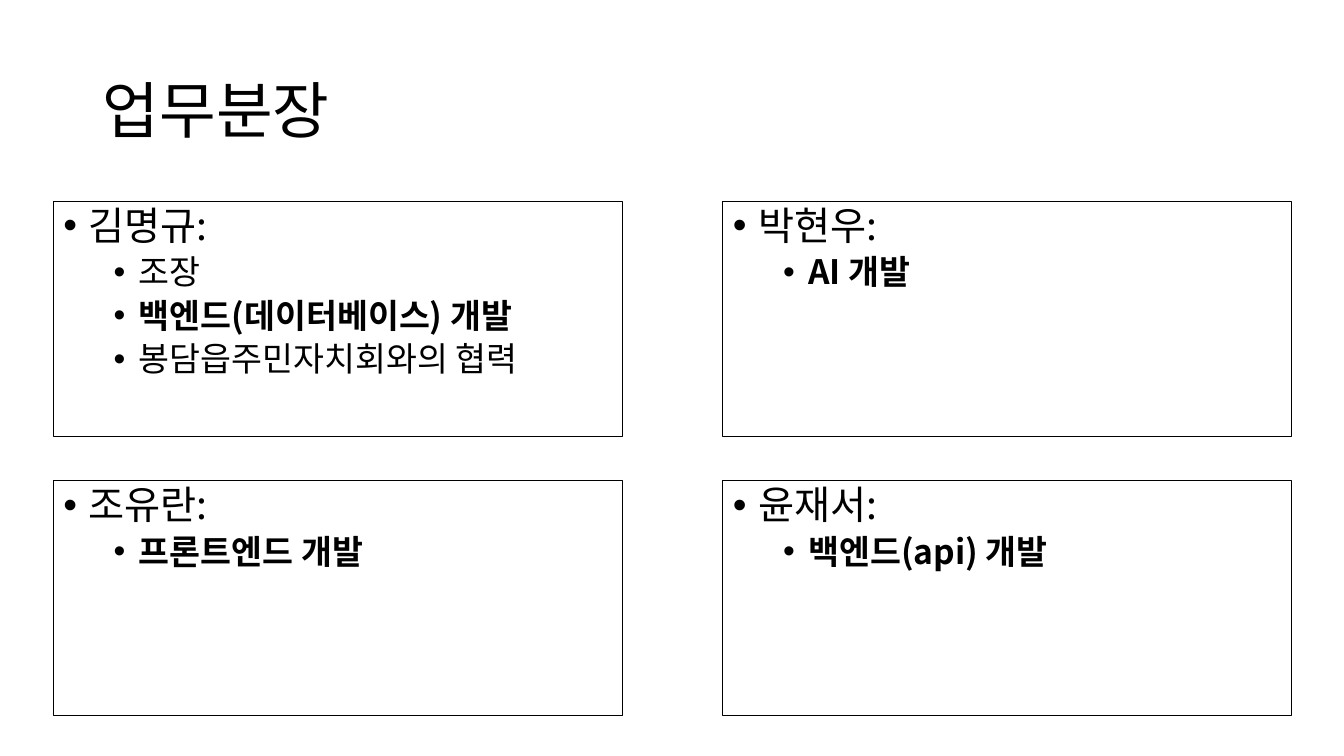
from lxml import etree
from pptx import Presentation
from pptx.dml.color import RGBColor
from pptx.enum.shapes import MSO_SHAPE
from pptx.enum.text import MSO_ANCHOR, PP_ALIGN
from pptx.oxml.ns import qn
from pptx.util import Inches, Pt

RECT = MSO_SHAPE.RECTANGLE
TOP, MIDDLE = MSO_ANCHOR.TOP, MSO_ANCHOR.MIDDLE
LEFT = PP_ALIGN.LEFT
FONT = "Noto Sans CJK KR"
COLORS = {"ink": "000000", "paper": "FFFFFF"}
INK = RGBColor.from_string(COLORS["ink"])

X, Y = 0.53, 2
WIDE, HIGH = 5.64, 2.33
STEP_X, STEP_Y = 6.64, 2.77

TEAM = [
    ("김명규:", [("조장", False), ("백엔드(데이터베이스) 개발", True),
              ("봉담읍주민자치회와의 협력", False)]),
    ("박현우:", [("AI 개발", True)]),
    ("조유란:", [("프론트엔드 개발", True)]),
    ("윤재서:", [("백엔드(api) 개발", True)]),
]


def add_run(para, text, size, bold=False):
    para.alignment = LEFT
    para.line_spacing = 0.9
    run = para.add_run()
    run.text = text
    font = run.font
    font.size = Pt(size)
    font.bold = bold
    font.color.rgb = INK
    font.name = FONT
    etree.SubElement(font._element, qn("a:ea"), typeface=FONT)


def add_item(para, text, level, bold):
    para.level = level
    add_run(para, text, 24 if level else 28, bold)
    if level:
        para.space_before = Pt(5)
    props = para._p.get_or_add_pPr()
    props.set("marL", str(Inches(0.25 + 0.5 * level)))
    props.set("indent", str(Inches(-0.25)))
    etree.SubElement(props, qn("a:buFont"), typeface="Arial")
    etree.SubElement(props, qn("a:buChar"), char="•")


deck = Presentation()
deck.slide_width, deck.slide_height = Inches(13.33), Inches(7.5)
slide = deck.slides.add_slide(deck.slide_layouts[6])
slide.background.fill.solid()
slide.background.fill.fore_color.rgb = RGBColor.from_string(COLORS["paper"])

title = slide.shapes.add_textbox(Inches(0.92), Inches(0.4), Inches(3.42), Inches(1.45))
title.text_frame.word_wrap = True
title.text_frame.vertical_anchor = MIDDLE
add_run(title.text_frame.paragraphs[0], "업무분장", 44)

for i, (name, tasks) in enumerate(TEAM):
    row, col = divmod(i, 2)
    card = slide.shapes.add_shape(
        RECT, Inches(X + col * STEP_X), Inches(Y + row * STEP_Y), Inches(WIDE), Inches(HIGH))
    card.shadow.inherit = False
    card.fill.background()
    card.line.color.rgb = INK
    card.line.width = Pt(0.75)
    frame = card.text_frame
    frame.word_wrap = True
    frame.vertical_anchor = TOP
    add_item(frame.paragraphs[0], name, 0, False)
    for task, bold in tasks:
        add_item(frame.add_paragraph(), task, 1, bold)

deck.save("out.pptx")
